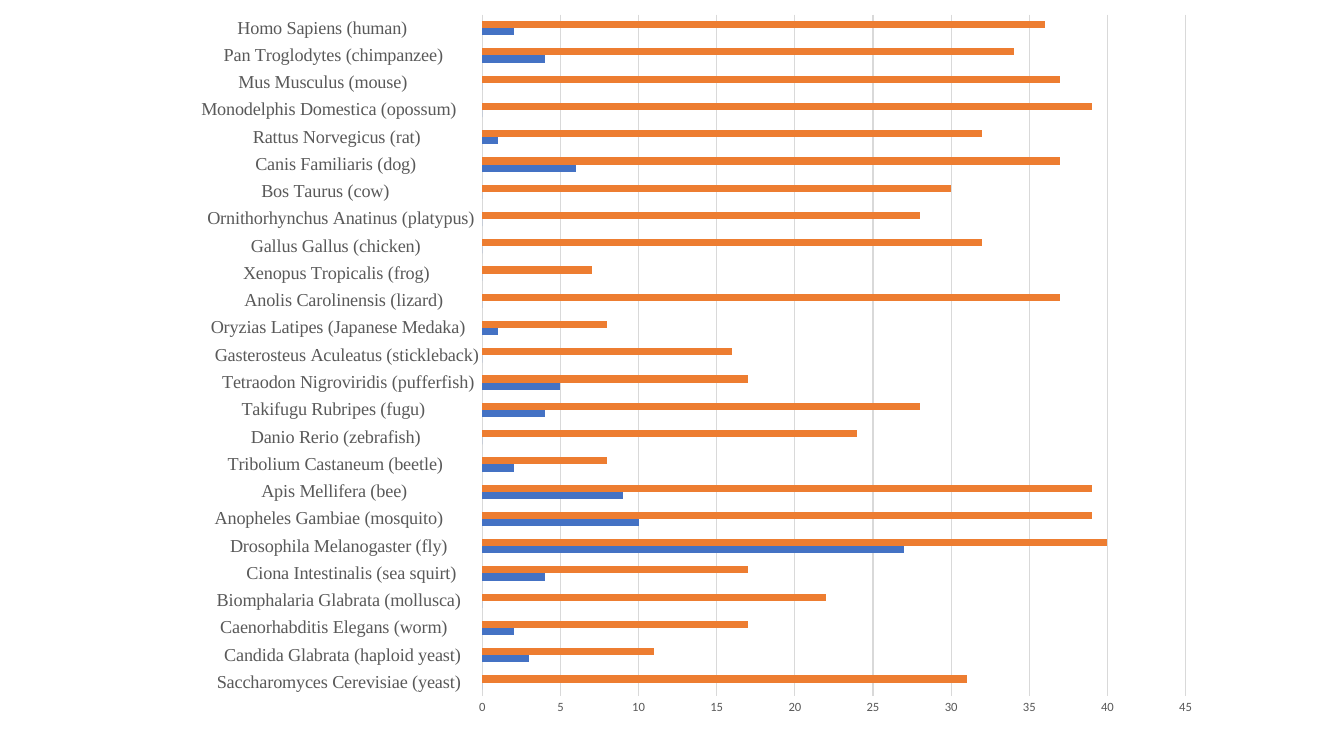
from lxml import etree
from pptx import Presentation
from pptx.chart.data import CategoryChartData
from pptx.dml.color import RGBColor
from pptx.enum import chart as ch
from pptx.util import Cm, Pt

BLUE = RGBColor(0x44, 0x72, 0xC4)
ORANGE = RGBColor(0xED, 0x7D, 0x31)
GREY = RGBColor(0x59, 0x59, 0x59)
LIGHT = RGBColor(0xD9, 0xD9, 0xD9)
BLACK = RGBColor(0, 0, 0)

# Species, first series, second series, from the bottom up
SPECIES = [
    ("Saccharomyces Cerevisiae (yeast)", 0, 31),
    ("Candida Glabrata (haploid yeast)", 3, 11),
    ("Caenorhabditis Elegans (worm)", 2, 17),
    ("Biomphalaria Glabrata (mollusca)", 0, 22),
    ("Ciona Intestinalis (sea squirt)", 4, 17),
    ("Drosophila Melanogaster (fly)", 27, 40),
    ("Anopheles Gambiae (mosquito)", 10, 39),
    ("Apis Mellifera (bee)", 9, 39),
    ("Tribolium Castaneum (beetle)", 2, 8),
    ("Danio Rerio (zebrafish)", 0, 24),
    ("Takifugu Rubripes (fugu)", 4, 28),
    ("Tetraodon Nigroviridis (pufferfish)", 5, 17),
    ("Gasterosteus Aculeatus (stickleback)", 0, 16),
    ("Oryzias Latipes (Japanese Medaka)", 1, 8),
    ("Anolis Carolinensis (lizard)", 0, 37),
    ("Xenopus Tropicalis (frog)", 0, 7),
    ("Gallus Gallus (chicken)", 0, 32),
    ("Ornithorhynchus Anatinus (platypus)", 0, 28),
    ("Bos Taurus (cow)", 0, 30),
    ("Canis Familiaris (dog)", 6, 37),
    ("Rattus Norvegicus (rat)", 1, 32),
    ("Monodelphis Domestica (opossum)", 0, 39),
    ("Mus Musculus (mouse)", 0, 37),
    ("Pan Troglodytes (chimpanzee)", 4, 34),
    ("Homo Sapiens (human)", 2, 36),
]


def set_font(font, name, size, color):
    font.name, font.size, font.bold = name, Pt(size), False
    font.color.rgb = color


def set_line(line, color):
    line.color.rgb = color
    line.width = Pt(0.75)


def place_plot(chart, x, y, w, h):
    """Fix the inner plot area, as fractions of the chart."""
    plot_area = chart.plots[0]._element.getparent()
    ns = etree.QName(plot_area).namespace
    for old in plot_area.findall(f"{{{ns}}}layout"):
        plot_area.remove(old)
    layout = etree.Element(f"{{{ns}}}layout")
    manual = etree.SubElement(layout, f"{{{ns}}}manualLayout")
    settings = [("layoutTarget", "inner"), ("xMode", "edge"), ("yMode", "edge"),
                ("x", x), ("y", y), ("w", w), ("h", h)]
    for tag, val in settings:
        etree.SubElement(manual, f"{{{ns}}}{tag}", val=str(val))
    plot_area.insert(0, layout)


def style_axis(axis, font_name, size):
    axis.major_tick_mark = axis.minor_tick_mark = ch.XL_TICK_MARK.NONE
    set_font(axis.tick_labels.font, font_name, size, GREY)


def add_species_chart(slide):
    names, first, second = zip(*SPECIES)
    width = max(map(len, names))
    data = CategoryChartData()
    # Names share one padded length
    data.categories = [name.ljust(width) for name in names]
    data.add_series("Series 1", first)
    data.add_series("Series 2", second)
    chart = slide.shapes.add_chart(ch.XL_CHART_TYPE.BAR_CLUSTERED, Cm(4.6), Cm(0),
                                   Cm(26.06), Cm(18.47), data).chart
    chart.has_legend = chart.has_title = False
    set_font(chart.font, "Calibri", 10, BLACK)

    # Bars
    plot = chart.plots[0]
    plot.gap_width, plot.overlap = 182, 0
    plot.vary_by_categories = False
    for series, color in zip(plot.series, (BLUE, ORANGE)):
        series.format.fill.solid()
        series.format.fill.fore_color.rgb = color
        series.invert_if_negative = False

    # Axes
    cat_axis, val_axis = chart.category_axis, chart.value_axis
    style_axis(cat_axis, "Times New Roman", 13)
    set_line(cat_axis.format.line, LIGHT)
    cat_axis.has_major_gridlines = False
    style_axis(val_axis, "Calibri", 9)
    val_axis.minimum_scale, val_axis.maximum_scale = 0, 45
    val_axis.major_unit = 5
    val_axis.format.line.fill.background()
    set_line(val_axis.major_gridlines.format.line, LIGHT)
    place_plot(chart, 0.29, 0.02, 0.68, 0.93)


def main():
    prs = Presentation()
    prs.slide_width, prs.slide_height = Cm(33.87), Cm(19.05)
    add_species_chart(prs.slides.add_slide(prs.slide_layouts[6]))
    prs.save("out.pptx")


if __name__ == "__main__":
    main()
